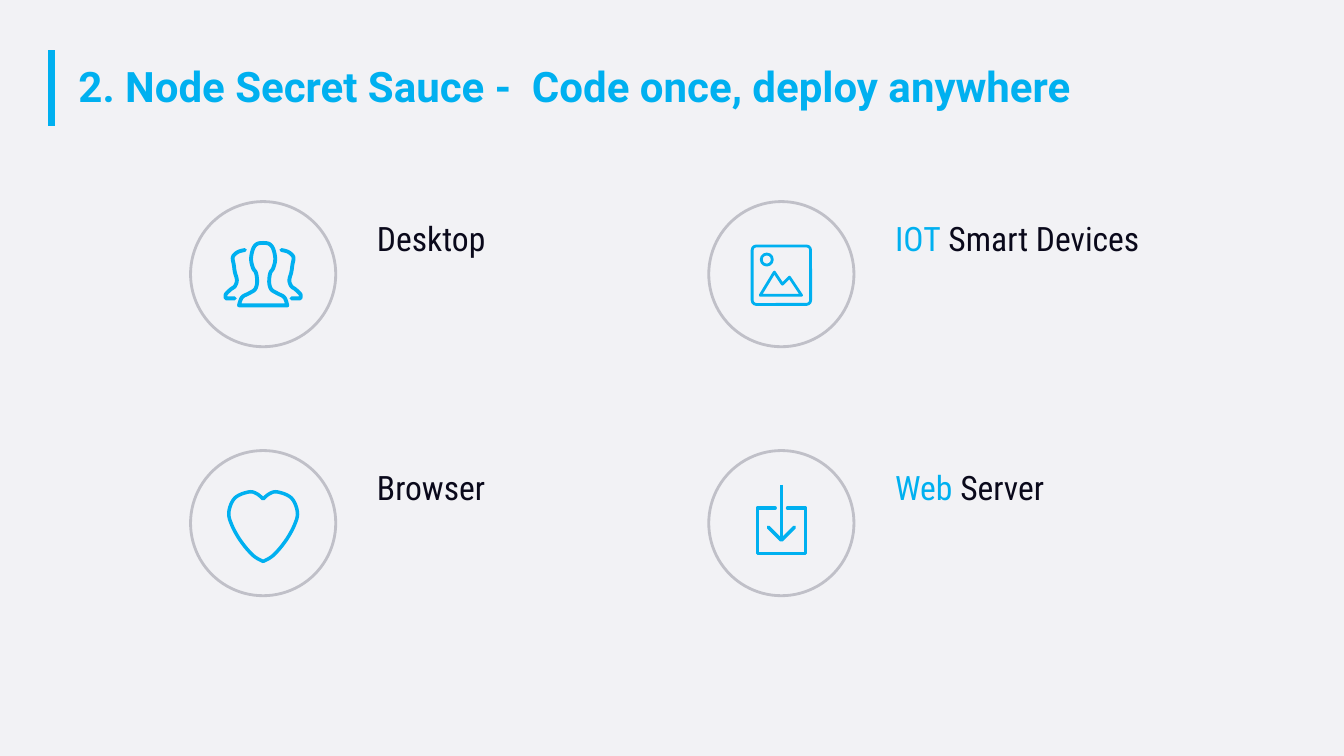
from pptx import Presentation
from pptx.dml.color import RGBColor
from pptx.enum.shapes import MSO_CONNECTOR, MSO_SHAPE
from pptx.enum.text import MSO_ANCHOR, MSO_AUTO_SIZE
from pptx.oxml.ns import qn
from pptx.util import Pt
from lxml import etree

STRAIGHT = MSO_CONNECTOR.STRAIGHT
OVAL, ROUNDED = MSO_SHAPE.OVAL, MSO_SHAPE.ROUNDED_RECTANGLE
MIDDLE, GROW = MSO_ANCHOR.MIDDLE, MSO_AUTO_SIZE.SHAPE_TO_FIT_TEXT

PX = 9144  # one hundredth of an inch
BLUE, GREY, INK, PAPER = "00B0F0", "C0C0C8", "0A091B", "F2F2F5"


def colour(hex_text):
    return RGBColor.from_string(hex_text)


def smooth(points, steps=6):
    """Catmull-Rom curve through the points."""
    padded = [points[0], *points, points[-1]]
    curve = [points[0]]
    for a, b, c, d in zip(padded, padded[1:], padded[2:], padded[3:]):
        for step in range(1, steps + 1):
            t = step / steps
            curve.append(tuple(
                (2 * q + (r - p) * t + (2 * p - 5 * q + 4 * r - s) * t ** 2
                 + (3 * q - p - 3 * r + s) * t ** 3) / 2
                for p, q, r, s in zip(a, b, c, d)))
    return curve


def mirror(points, axis):
    return [(2 * axis - x, y) for x, y in reversed(points)]


class Slide:
    title_font, label_font = "Roboto", "Roboto Condensed"

    def __init__(self, deck):
        self.page = deck.slides.add_slide(deck.slide_layouts[6])
        self.page.background.fill.solid()
        self.page.background.fill.fore_color.rgb = colour(PAPER)

    def stroke(self, shape, hex_text, points):
        shape.line.color.rgb = colour(hex_text)
        shape.line.width = Pt(points)

    def line(self, x1, y1, x2, y2, width):
        link = self.page.shapes.add_connector(
            STRAIGHT, x1 * PX, y1 * PX, x2 * PX, y2 * PX)
        self.stroke(link, BLUE, width)
        etree.SubElement(link._element.spPr, qn("a:effectLst"))
        return link

    def outline(self, kind, left, top, size, hex_text, width=2):
        shape = self.page.shapes.add_shape(
            kind, left * PX, top * PX, size * PX, size * PX)
        shape.shadow.inherit = False
        shape.fill.background()
        self.stroke(shape, hex_text, width)
        return shape

    def drawing(self, points, width, close=False):
        scaled = [(x * PX, y * PX) for x, y in points]
        builder = self.page.shapes.build_freeform(*scaled[0])
        builder.add_line_segments(scaled[1:], close=close)
        shape = builder.convert_to_shape()
        shape.shadow.inherit = False
        shape.fill.background()
        self.stroke(shape, BLUE, width)
        # Round caps and joins
        pen = shape.line._get_or_add_ln()
        pen.set("cap", "rnd")
        etree.SubElement(pen, qn("a:round"))

    def text(self, left, top, width, height, spans, font, size, bold=False):
        box = self.page.shapes.add_textbox(
            left * PX, top * PX, width * PX, height * PX)
        frame = box.text_frame
        frame.word_wrap = True
        frame.auto_size = GROW
        para = frame.paragraphs[0]
        for words, hex_text in spans:
            span = para.add_run()
            span.text = words
            span.font.name, span.font.size = font, Pt(size)
            span.font.bold = bold
            span.font.color.rgb = colour(hex_text)
        return box

    def title(self, words):
        self.line(51, 50, 51, 125, 5)
        box = self.text(68, 60, 1265, 56, [(words, BLUE)],
                        self.title_font, 30, True)
        box.text_frame.vertical_anchor = MIDDLE
        box.text_frame.paragraphs[0].line_spacing = 0.9

    def platform(self, left, top, width, spans, draw_icon):
        self.outline(OVAL, left, top, 144, GREY)
        self.text(left + 175, top + 11, width, 50, spans, self.label_font, 24)
        draw_icon(left + 72, top + 72)

    # Icons, drawn around the centre of their ring
    def people(self, x, y):
        side = smooth([(x - 18, y - 24), (x - 25, y - 22), (x - 30, y - 17),
                       (x - 29, y - 9), (x - 28, y - 2), (x - 26, y + 6),
                       (x - 28, y + 12), (x - 32, y + 15), (x - 37, y + 20),
                       (x - 37, y + 24)]) + [(x - 28, y + 24)]
        middle = smooth([(x - 24, y + 31), (x - 21, y + 23), (x - 14, y + 19),
                         (x - 8, y + 15), (x - 6, y + 8), (x - 7, y - 1),
                         (x - 10, y - 6), (x - 12, y - 15), (x - 10, y - 25),
                         (x - 6, y - 30), (x, y - 31)])
        self.drawing(side, 2.75)
        self.drawing(mirror(side, x), 2.75)
        self.drawing(middle + mirror(middle, x), 2.75, close=True)

    def heart(self, x, y):
        half = smooth([(x, y - 24), (x - 6, y - 29), (x - 14, y - 31),
                       (x - 28, y - 25), (x - 34, y - 11), (x - 31, y + 2),
                       (x - 22, y + 18), (x - 10, y + 32), (x, y + 38)])
        self.drawing(half + mirror(half, x), 2.5, close=True)

    def landscape(self, x, y):
        frame = self.outline(ROUNDED, x - 29, y - 28, 58, BLUE)
        frame.adjustments[0] = 0.07
        self.outline(OVAL, x - 20, y - 20, 11, BLUE)
        self.drawing([(x - 21, y + 21), (x - 7, y - 2), (x + 1, y + 10),
                      (x + 8, y + 3), (x + 20, y + 21)], 2, close=True)

    def download(self, x, y):
        tray = [(x - 6, y - 15), (x - 24, y - 15), (x - 24, y + 30)]
        self.drawing(tray + mirror(tray, x), 2.25)
        self.drawing([(x - 13, y + 4), (x, y + 17), (x + 13, y + 4)], 2.5)
        self.line(x, y - 38, x, y + 17, 2.5)


def main():
    deck = Presentation()
    deck.slide_width, deck.slide_height = 1333 * PX, 750 * PX
    slide = Slide(deck)
    slide.title("2. Node Secret Sauce -  Code once, deploy anywhere")

    # Two by two grid of platforms
    platforms = [
        (278, [("Desktop", INK)], slide.people),
        (297, [("IOT", BLUE), (" Smart Devices", INK)], slide.landscape),
        (239, [("Browser", INK)], slide.heart),
        (297, [("Web ", BLUE), ("Server", INK)], slide.download),
    ]
    for index, (width, spans, draw_icon) in enumerate(platforms):
        row, column = divmod(index, 2)
        slide.platform(189 + 514 * column, 200 + 247 * row,
                       width, spans, draw_icon)

    deck.save("out.pptx")


if __name__ == "__main__":
    main()
